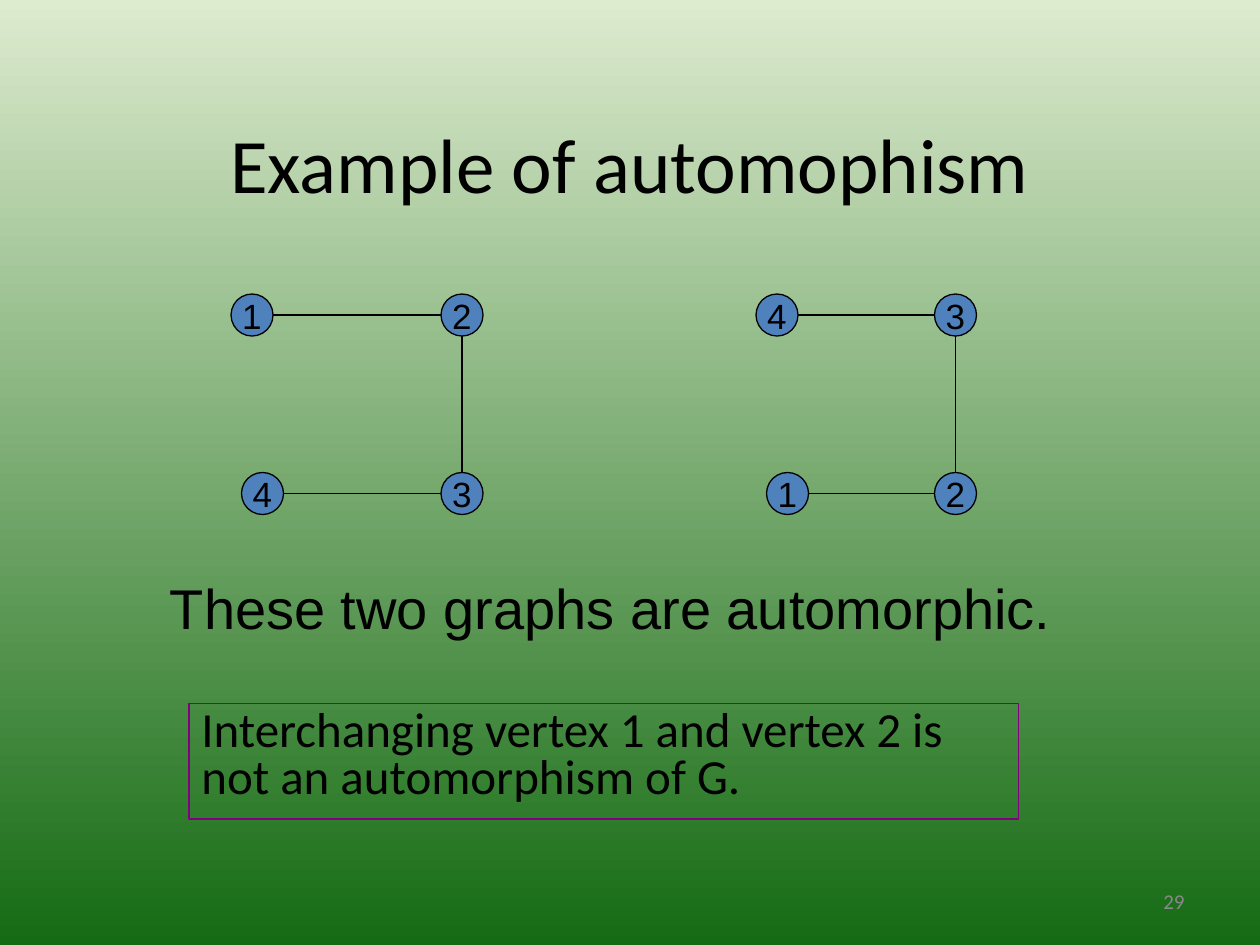
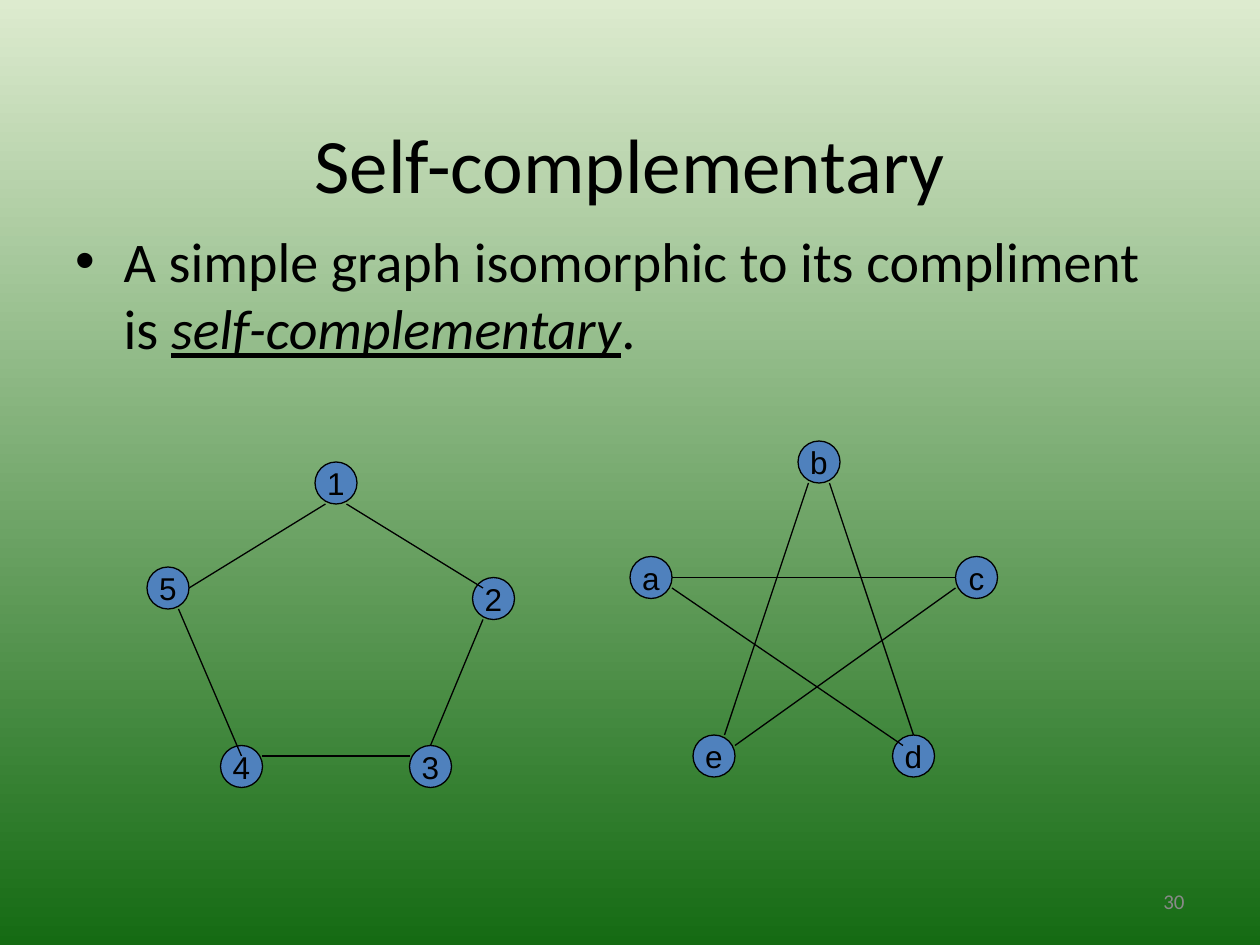
from lxml.etree import SubElement
from pptx import Presentation
from pptx.dml.color import RGBColor
from pptx.enum.shapes import MSO_CONNECTOR as Connector, MSO_SHAPE as Preset
from pptx.enum.text import MSO_ANCHOR as Anchor, PP_ALIGN as Align
from pptx.oxml.ns import qn
from pptx.util import Emu, Pt

# Shared scale and style
EMU_PER_PX = 7620  # 120 px to the inch
BLACK, GREY, PURPLE = "000000", "898989", "800080"
VERTEX_BLUE = "4F81BD"
SKY, GRASS = "DDEBCF", "156B13"
HEADING_FONT, GRAPH_FONT = "Calibri", "Arial"
LINE_WIDTH = 0.75
VERTEX = 40

# Places on a vertex where an edge may end
LEFT, RIGHT = (0, 20), (40, 20)
TOP, BOTTOM = (20, 0), (20, 40)
BOTTOM_WEST, BOTTOM_EAST = (10, 40), (30, 40)
UPPER_WEST, UPPER_EAST = (0, 10), (40, 10)
LOWER_WEST, LOWER_EAST = (0, 30), (40, 30)
TOP_EAST, INNER_WEST, INNER_TOP = (30, 0), (10, 10), (20, 10)


def px(*lengths):
    return [Emu(length * EMU_PER_PX) for length in lengths]


def color(value):
    return RGBColor.from_string(value)


def set_line(line, value):
    line.color.rgb = color(value)
    line.width = Pt(LINE_WIDTH)


def write_text(shape, text, font=HEADING_FONT, size=32, ink=BLACK, align=Align.LEFT,
               anchor=Anchor.TOP, wrap=True, before=0, spacing=None, bullet=None,
               indent=46, emphasis=None):
    """Fill a shape with one paragraph; the emphasis phrase is italic and underlined."""
    frame = shape.text_frame
    frame.word_wrap = wrap
    frame.vertical_anchor = anchor
    para = frame.paragraphs[0]
    para.alignment = align
    para.space_before = Pt(before)
    if spacing:
        para.line_spacing = spacing
    if bullet:
        hang = indent * EMU_PER_PX
        props = para._p.get_or_add_pPr()
        props.set("marL", str(hang))
        props.set("indent", str(-hang))
        SubElement(props, qn("a:buFont"), typeface="Arial")
        SubElement(props, qn("a:buChar"), char=bullet)
    head, phrase, tail = text.partition(emphasis) if emphasis else (text, "", "")
    for part in filter(None, (head, phrase, tail)):
        span = para.add_run()
        span.text = part
        span.font.name = font
        span.font.size = Pt(size)
        span.font.color.rgb = color(ink)
        if part == phrase:
            span.font.italic = span.font.underline = True


def add_text(page, place, text, outline=None, **style):
    box = page.shapes.add_textbox(*px(*place))
    if outline:
        set_line(box.line, outline)
    write_text(box, text, **style)


def add_vertex(page, left, top, label, size):
    circle = page.shapes.add_shape(Preset.OVAL, *px(left, top, VERTEX, VERTEX))
    circle.shadow.inherit = False
    circle.fill.solid()
    circle.fill.fore_color.rgb = color(VERTEX_BLUE)
    set_line(circle.line, BLACK)
    write_text(circle, label, font=GRAPH_FONT, size=size, align=Align.CENTER,
               anchor=Anchor.MIDDLE, wrap=False)


def add_edge(page, start, end):
    edge = page.shapes.add_connector(Connector.STRAIGHT, *px(*start, *end))
    set_line(edge.line, BLACK)
    SubElement(edge._element.spPr, qn("a:effectLst"))


def add_graph(page, vertices, edges, size):
    """Vertices map labels to corners; edges join a place on one to a place on another."""
    for label, (left, top) in vertices.items():
        add_vertex(page, left, top, label, size)
    for first, exit_at, second, enter_at in edges:
        start, end = [(vertices[label][0] + place[0], vertices[label][1] + place[1])
                      for label, place in ((first, exit_at), (second, enter_at))]
        add_edge(page, start, end)


def add_page(deck, title, number):
    """Start a page with the gradient, the title and the page number."""
    page = deck.slides.add_slide(deck.slide_layouts[6])
    fill = page.background.fill
    fill.gradient()
    fill.gradient_angle = 270
    for stop, value in zip(fill.gradient_stops, (SKY, GRASS)):
        stop.color.rgb = color(value)
    add_text(page, (860, 834, 280, 48), str(number), size=12, ink=GREY,
             align=Align.RIGHT, anchor=Anchor.MIDDLE)
    add_text(page, (50, 105, 1100, 100), title, size=44,
             align=Align.CENTER, anchor=Anchor.MIDDLE)
    return page


def add_automorphism_page(deck):
    page = add_page(deck, "Example of automophism", 29)
    add_text(page, (180, 670, 790, 110),
             "Interchanging vertex 1 and vertex 2 is not an automorphism of G.",
             outline=PURPLE, size=28, before=7, spacing=0.8)
    # Each path runs along the top, down the right side and back
    corners_by_graph = (
        {"1": (220, 280), "2": (420, 280), "3": (420, 450), "4": (230, 450)},
        {"4": (720, 280), "3": (890, 280), "2": (890, 450), "1": (730, 450)},
    )
    for corners in corners_by_graph:
        first, second, third, last = corners
        add_graph(page, corners, [(first, RIGHT, second, LEFT),
                                  (second, BOTTOM, third, TOP),
                                  (third, LEFT, last, RIGHT)], size=20)
    add_text(page, (150, 540, 940, 77), "These two graphs are automorphic.",
             font=GRAPH_FONT, before=20)


def add_self_complementary_page(deck):
    page = add_page(deck, "Self-complementary", 30)
    add_text(page, (60, 210, 1080, 594),
             "A simple graph isomorphic to its compliment is self-complementary.",
             before=8, bullet="•", emphasis="self-complementary")
    # Pentagon
    pentagon = {"1": (300, 440), "5": (140, 540), "2": (450, 550),
                "4": (210, 710), "3": (390, 710)}
    add_graph(page, pentagon, [("5", RIGHT, "1", BOTTOM_WEST),
                               ("1", BOTTOM_EAST, "2", INNER_WEST),
                               ("2", BOTTOM_WEST, "3", TOP),
                               ("4", UPPER_EAST, "3", UPPER_WEST),
                               ("5", BOTTOM_EAST, "4", INNER_TOP)], size=18)
    # Star
    star = {"e": (660, 700), "d": (850, 700), "a": (600, 530),
            "c": (910, 530), "b": (760, 420)}
    add_graph(page, star, [("b", BOTTOM_WEST, "e", TOP_EAST),
                           ("b", BOTTOM_EAST, "d", TOP),
                           ("a", RIGHT, "c", LEFT),
                           ("a", LOWER_EAST, "d", INNER_WEST),
                           ("c", LOWER_WEST, "e", UPPER_EAST)], size=18)


def main():
    deck = Presentation()
    deck.slide_width, deck.slide_height = px(1200, 900)
    add_automorphism_page(deck)
    add_self_complementary_page(deck)
    deck.save("out.pptx")


if __name__ == "__main__":
    main()
